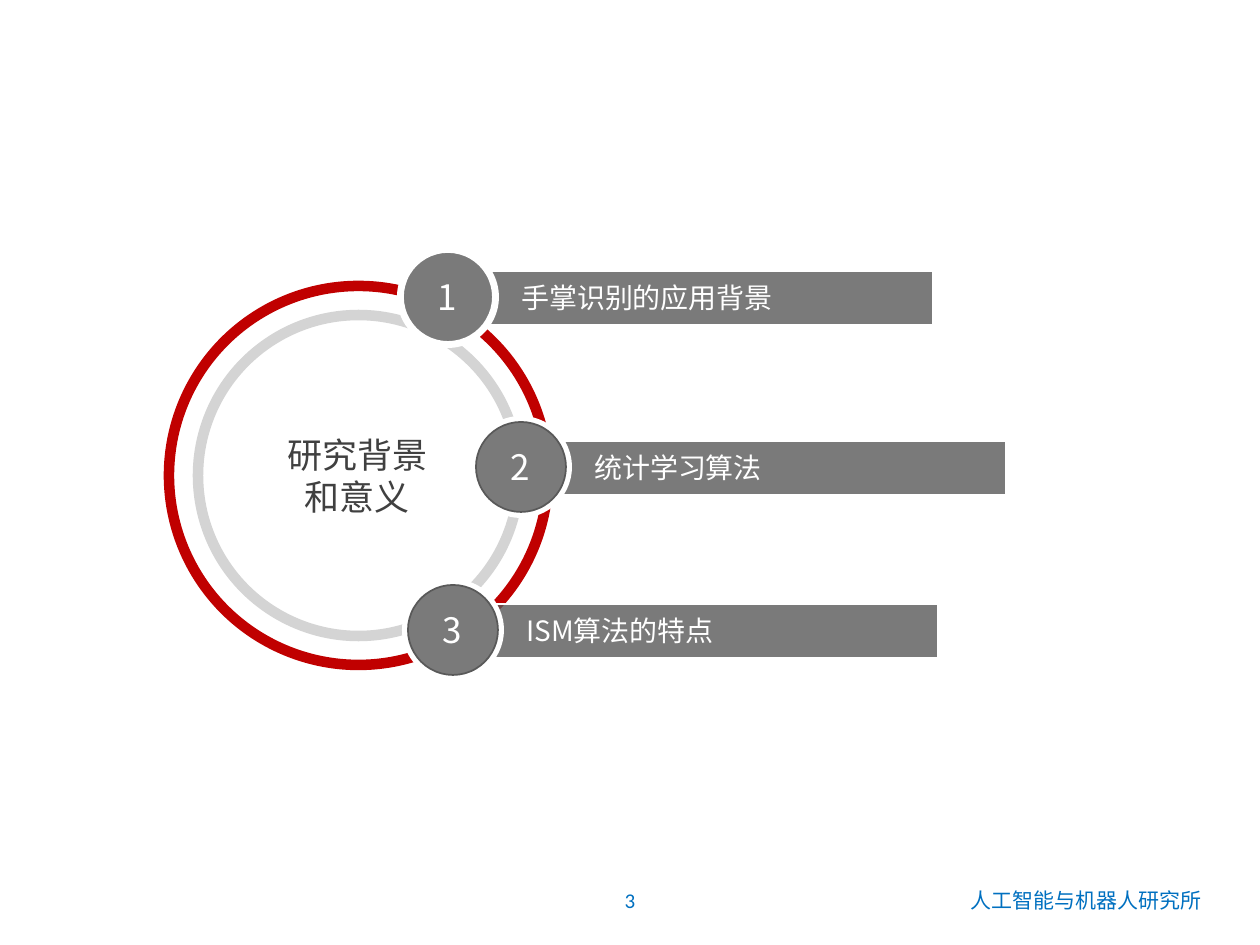
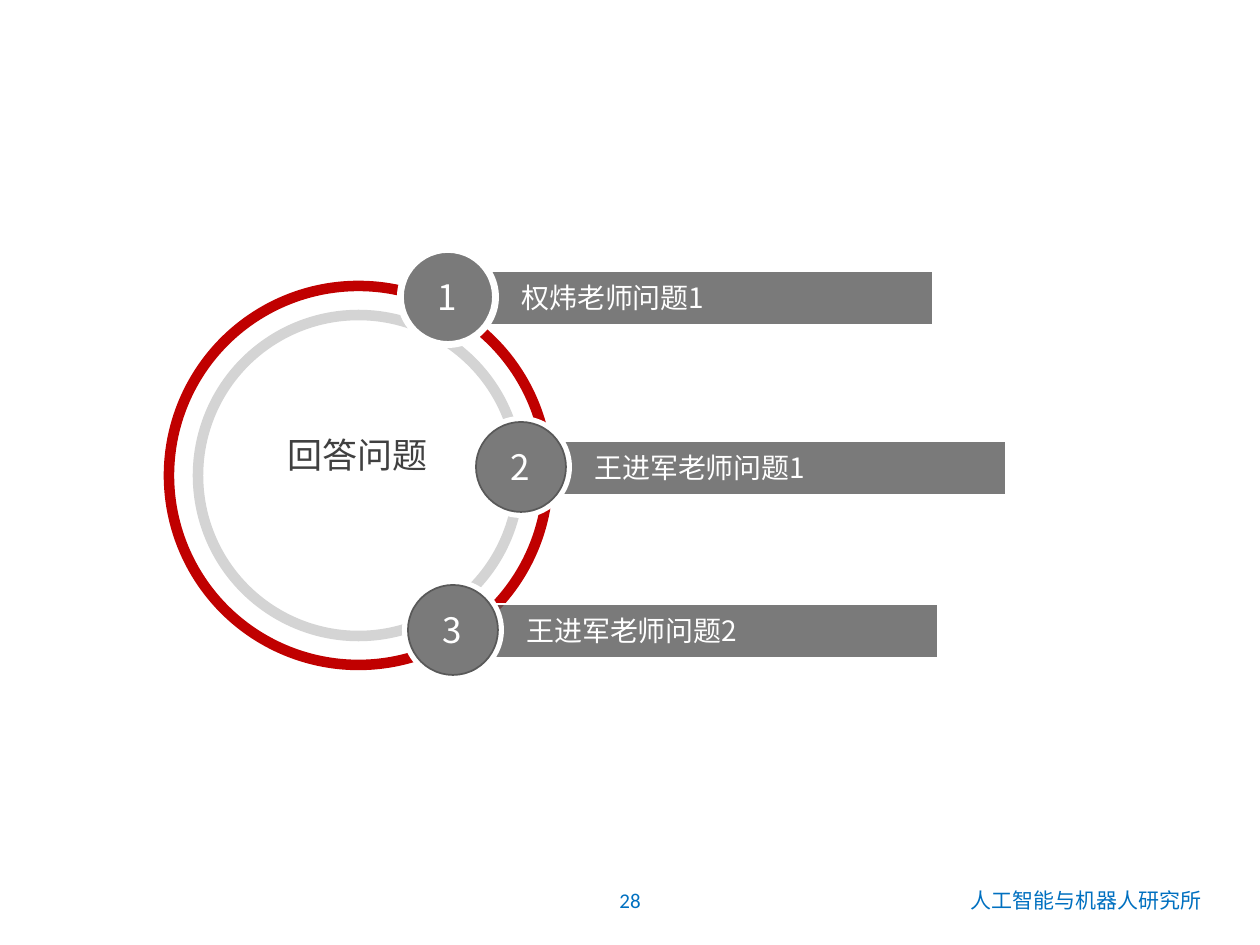
import pptx
import pptx.util
import pptx.dml.color
import pptx.enum.shapes
import pptx.enum.text
import pptx.oxml.ns
import lxml.etree

PX = 914400 / 126
RED, GREY, WHITE, BLUE, DARK = "C00000", "595959", "FFFFFF", "0070C0", "404040"
CHINESE_FONT = "Noto Sans CJK SC"
OVAL = pptx.enum.shapes.MSO_SHAPE.OVAL
BAR = pptx.enum.shapes.MSO_SHAPE.RECTANGLE
ALIGN = pptx.enum.text.PP_ALIGN
ANCHOR = pptx.enum.text.MSO_ANCHOR


def paint(fill, colour, opacity=100):
    if colour is None:
        fill.background()
        return
    fill.solid()
    fill.fore_color.rgb = pptx.dml.color.RGBColor.from_string(colour)
    if opacity < 100:
        colour_node = fill._xPr.find(".//" + pptx.oxml.ns.qn("a:srgbClr"))
        alpha = lxml.etree.SubElement(colour_node, pptx.oxml.ns.qn("a:alpha"))
        alpha.set("val", str(opacity * 1000))


def write_text(box, text, place, size, colour, font=CHINESE_FONT,
               align=ALIGN.LEFT, anchor=ANCHOR.TOP, wrap=True):
    box.left, box.top, box.width, box.height = [round(length * PX) for length in place]
    frame = box.text_frame
    frame.word_wrap = wrap
    frame.auto_size = pptx.enum.text.MSO_AUTO_SIZE.NONE
    frame.vertical_anchor = anchor
    para = frame.paragraphs[0]
    para.alignment = align
    span = para.add_run()
    span.text = text
    span.font.size = pptx.util.Pt(size)
    span.font.name = font
    paint(span.font.fill, colour)
    east_asian = lxml.etree.SubElement(span.font._element, pptx.oxml.ns.qn("a:ea"))
    east_asian.set("typeface", font)


deck = pptx.Presentation()
deck.slide_width = round(1260 * PX)
deck.slide_height = round(945 * PX)
layout = deck.slide_layouts[5]

sections = [
    ("3", "研究背景和意义", ["手掌识别的应用背景", "统计学习算法", "ISM算法的特点"]),
    ("28", "回答问题", ["权炜老师问题1", "王进军老师问题1", "王进军老师问题2"]),
]
badges = [(397, 246, WHITE), (470, 416, GREY), (402, 579, GREY)]
rings = [
    (OVAL, (169, 286, 379, 379), None, 100, RED, 6, 100),
    (OVAL, (198, 315, 321, 321), WHITE, 25, GREY, 6, 25),
]

for page_number, heading, topics in sections:
    page = deck.slides.add_slide(layout)
    parts = list(rings)
    for left, top, outline in badges:
        parts += [
            (BAR, (left + 93, top + 25, 443, 54), GREY, 80, WHITE, 1, 100),
            (OVAL, (left, top, 102, 102), WHITE, 100, None, 0, 100),
            (OVAL, (left + 6, top + 6, 90, 90), GREY, 80, outline, 1, 100),
        ]
    for kind, place, fill, fill_opacity, line, line_width, line_opacity in parts:
        shape = page.shapes.add_shape(kind, *[round(length * PX) for length in place])
        shape.shadow.inherit = False
        paint(shape.fill, fill, fill_opacity)
        shape.line.width = pptx.util.Pt(line_width)
        paint(shape.line.fill, line, line_opacity)

    title = page.shapes.title
    page.shapes.element.append(title.element)
    write_text(title, heading, (263, 427, 189, 97), 20, DARK, align=ALIGN.CENTER)

    for number, (topic, (left, top, outline)) in enumerate(zip(topics, badges), start=1):
        write_text(page.shapes.add_textbox(0, 0, 0, 0), topic,
                   (left + 112, top + 28, 302, 47), 16, WHITE)
        write_text(page.shapes.add_textbox(0, 0, 0, 0), str(number),
                   (left - 1, top + 23, 103, 55), 20, WHITE, align=ALIGN.CENTER)

    write_text(page.shapes.add_textbox(0, 0, 0, 0), page_number, (483, 875, 294, 50),
               12, BLUE, font="Calibri", align=ALIGN.CENTER, anchor=ANCHOR.MIDDLE)

institute = page.shapes.add_textbox(0, 0, 0, 0)
write_text(institute, "人工智能与机器人研究所", (956, 881, 258, 38), 12, BLUE,
           align=ALIGN.RIGHT, wrap=False)
layout.shapes.element.append(institute.element)

deck.save("out.pptx")
